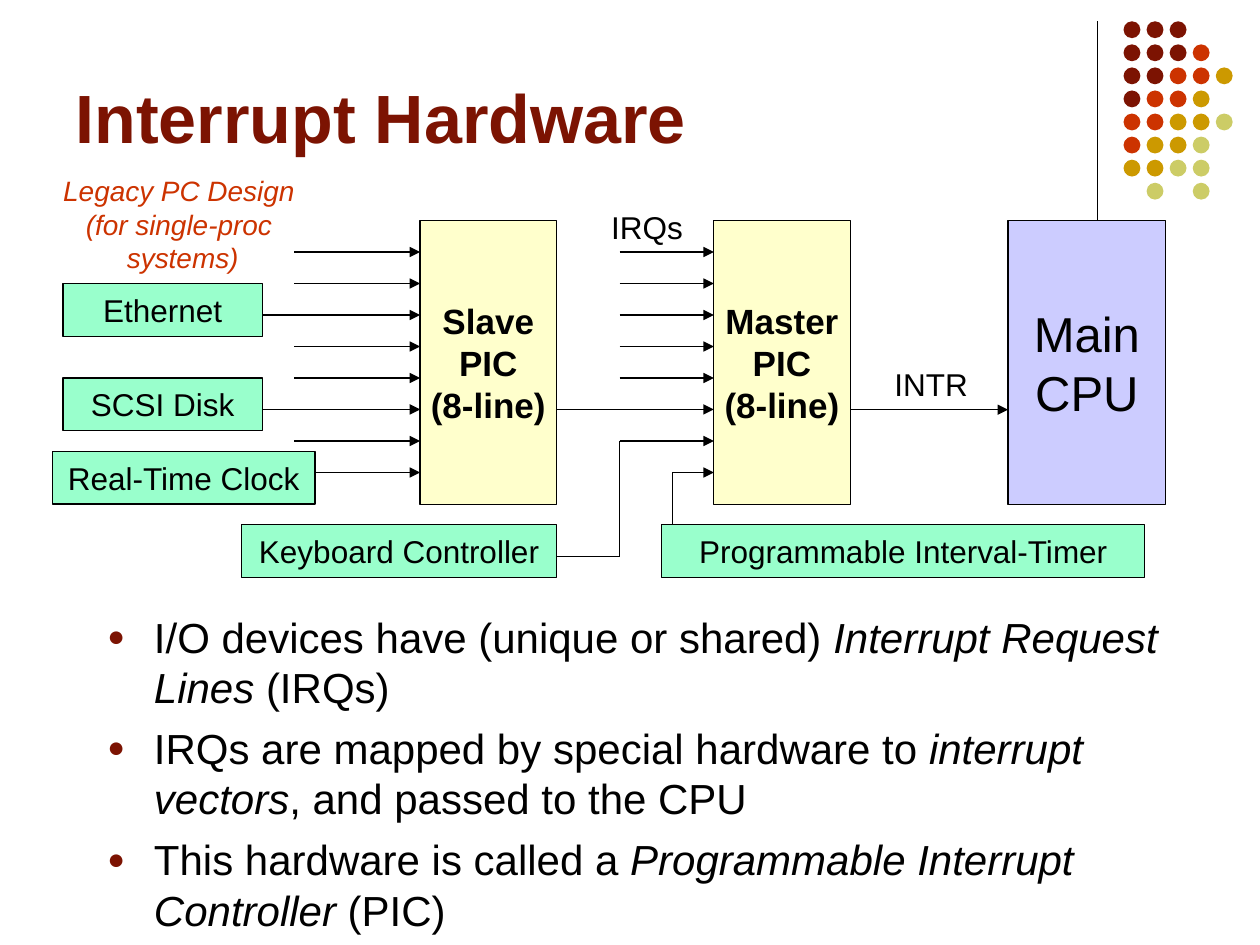
from lxml import etree
from pptx import Presentation
from pptx.dml.color import RGBColor
from pptx.enum import shapes, text
from pptx.oxml import parse_xml
from pptx.oxml.ns import nsdecls, qn
from pptx.util import Cm, Pt

BLACK = RGBColor(0x00, 0x00, 0x00)
MAROON = RGBColor(0x7C, 0x13, 0x02)
RED = RGBColor(0xCC, 0x33, 0x00)
GOLD = RGBColor(0xCC, 0x99, 0x00)
OLIVE = RGBColor(0xCC, 0xCC, 0x66)
LAVENDER = RGBColor(0xCC, 0xCC, 0xFF)
CREAM = RGBColor(0xFF, 0xFF, 0xCC)
MINT = RGBColor(0x99, 0xFF, 0xCC)
FONT = "Arial"

presentation = Presentation()
presentation.slide_width = Cm(25.4)
presentation.slide_height = Cm(19.05)
slide = presentation.slides.add_slide(presentation.slide_layouts[1])


def add_label(left, top, width, height, words, size, fill=None, color=BLACK,
              bold=False, italic=False, align=text.PP_ALIGN.CENTER):
    """Add a filled box, or a plain text box when no fill is given."""
    place = Cm(left), Cm(top), Cm(width), Cm(height)
    if fill is None:
        shape = slide.shapes.add_textbox(*place)
    else:
        shape = slide.shapes.add_shape(shapes.MSO_SHAPE.RECTANGLE, *place)
        shape.shadow.inherit = False
        shape.fill.solid()
        shape.fill.fore_color.rgb = fill
        shape.line.color.rgb = BLACK
        shape.line.width = Pt(0.75)
        shape.text_frame.vertical_anchor = text.MSO_ANCHOR.MIDDLE
    shape.text_frame.word_wrap = False
    shape.text_frame.text = words
    for paragraph in shape.text_frame.paragraphs:
        paragraph.alignment = align
        font = paragraph.runs[0].font
        font.name, font.size, font.color.rgb = FONT, Pt(size), color
        font.bold, font.italic = bold, italic


def add_wire(x1, y1, x2, y2, arrow=True):
    """Add a thin black line, with an arrowhead at its end if asked."""
    wire = slide.shapes.add_connector(
        shapes.MSO_CONNECTOR.STRAIGHT, Cm(x1), Cm(y1), Cm(x2), Cm(y2))
    wire.line.color.rgb = BLACK
    wire.line.width = Pt(0.75)
    if arrow:
        etree.SubElement(wire.line._get_or_add_ln(), qn("a:tailEnd"), type="triangle")
    etree.SubElement(wire._element.spPr, qn("a:effectLst"))


# Corner decoration: vertical rule and dot grid
add_wire(22.12, 0.43, 22.12, 4.65, arrow=False)
dot_colors = {"M": MAROON, "R": RED, "G": GOLD, "O": OLIVE}
dot_rows = ["MMM", "MMMR", "MMRRG", "MRRG", "RRGGO", "RGGO", "GGOO", ".O.O"]
for row, letters in enumerate(dot_rows):
    for column, letter in enumerate(letters):
        if letter == ".":
            continue
        dot = slide.shapes.add_shape(
            shapes.MSO_SHAPE.OVAL, Cm(22.65 + 0.465 * column),
            Cm(0.43 + 0.465 * row), Cm(0.34), Cm(0.34))
        dot.shadow.inherit = False
        dot.fill.solid()
        dot.fill.fore_color.rgb = dot_colors[letter]
        dot.line.fill.background()

# Title
title = slide.shapes.title
title.left, title.top, title.width, title.height = Cm(1.27), Cm(0.76), Cm(22.86), Cm(3.18)
title.text_frame.text = "Interrupt Hardware"
title.text_frame.auto_size = text.MSO_AUTO_SIZE.NONE
title.text_frame.vertical_anchor = text.MSO_ANCHOR.MIDDLE
paragraph = title.text_frame.paragraphs[0]
paragraph.alignment = text.PP_ALIGN.LEFT
font = paragraph.runs[0].font
font.name, font.size, font.bold, font.color.rgb = FONT, Pt(39), True, MAROON

# Processor and interrupt controllers
add_label(20.32, 4.45, 3.18, 5.72, "Main\nCPU", 28, LAVENDER)
add_label(14.39, 4.45, 2.75, 5.72, "Master\nPIC\n(8-line)", 20, CREAM, bold=True)
add_label(8.47, 4.45, 2.75, 5.72, "Slave\nPIC\n(8-line)", 20, CREAM, bold=True)

# Devices
for left, top, width, name in [
    (1.27, 5.72, 4.02, "Ethernet"),
    (1.27, 7.62, 4.02, "SCSI Disk"),
    (1.06, 9.1, 5.29, "Real-Time Clock"),
    (4.87, 10.58, 6.35, "Keyboard Controller"),
    (13.34, 10.58, 9.74, "Programmable Interval-Timer"),
]:
    add_label(left, top, width, 1.06, name, 18, MINT)

# Eight request lines into each controller; some start at a device
slave_starts = {2: 5.29, 5: 5.29, 7: 6.35}
master_starts = {5: 11.22, 7: 13.55}
for irq in range(8):
    y = 5.08 + 0.635 * irq
    add_wire(slave_starts.get(irq, 5.93), y, 8.47, y)
    add_wire(master_starts.get(irq, 12.49), y, 14.39, y)

# Interrupt line to the processor, then keyboard and timer wiring
add_wire(17.15, 8.26, 20.32, 8.26)
add_wire(12.49, 8.89, 12.49, 11.22, arrow=False)
add_wire(12.49, 11.22, 11.22, 11.22, arrow=False)
add_wire(13.55, 9.53, 13.55, 10.58, arrow=False)

# Captions
add_label(17.78, 7.24, 2.1, 1.02, "INTR", 18, align=text.PP_ALIGN.LEFT)
add_label(12.07, 4.06, 2.1, 1.02, "IRQs", 18, align=text.PP_ALIGN.LEFT)
add_label(1.02, 3.38, 5.33, 2.29, "Legacy PC Design \n(for single-proc \nsystems)",
          16, color=RED, italic=True)

# Bullet list: plain, italic and plain part of each point
points = [
    ("I/O devices have (unique or shared) ", "Interrupt Request Lines ", "(IRQs)"),
    ("IRQs are mapped by special hardware to ", "interrupt vectors",
     ", and passed to the CPU"),
    ("This hardware is called a ", "Programmable Interrupt Controller", " (PIC)"),
]
body = slide.placeholders[1]
body.left, body.top, body.width, body.height = Cm(1.91), Cm(12.19), Cm(21.79), Cm(6.86)
body.text_frame.auto_size = text.MSO_AUTO_SIZE.NONE
body.text_frame.vertical_anchor = text.MSO_ANCHOR.TOP
for index, parts in enumerate(points):
    paragraph = body.text_frame.paragraphs[0] if index == 0 else body.text_frame.add_paragraph()
    paragraph.space_before = Pt(6)
    for part_index, part in enumerate(parts):
        run = paragraph.add_run()
        run.text = part
        run.font.name, run.font.size, run.font.color.rgb = FONT, Pt(24), BLACK
        run.font.italic = part_index == 1
    properties = paragraph._p.get_or_add_pPr()
    properties.set("marL", str(Cm(0.94)))
    properties.set("indent", str(-Cm(0.94)))
    for bullet in [
        f'<a:buClr {nsdecls("a")}><a:srgbClr val="{MAROON}"/></a:buClr>',
        f'<a:buSzPct {nsdecls("a")} val="70000"/>',
        f'<a:buFont {nsdecls("a")} typeface="{FONT}"/>',
        f'<a:buChar {nsdecls("a")} char="●"/>',
    ]:
        properties.append(parse_xml(bullet))

presentation.save("out.pptx")
